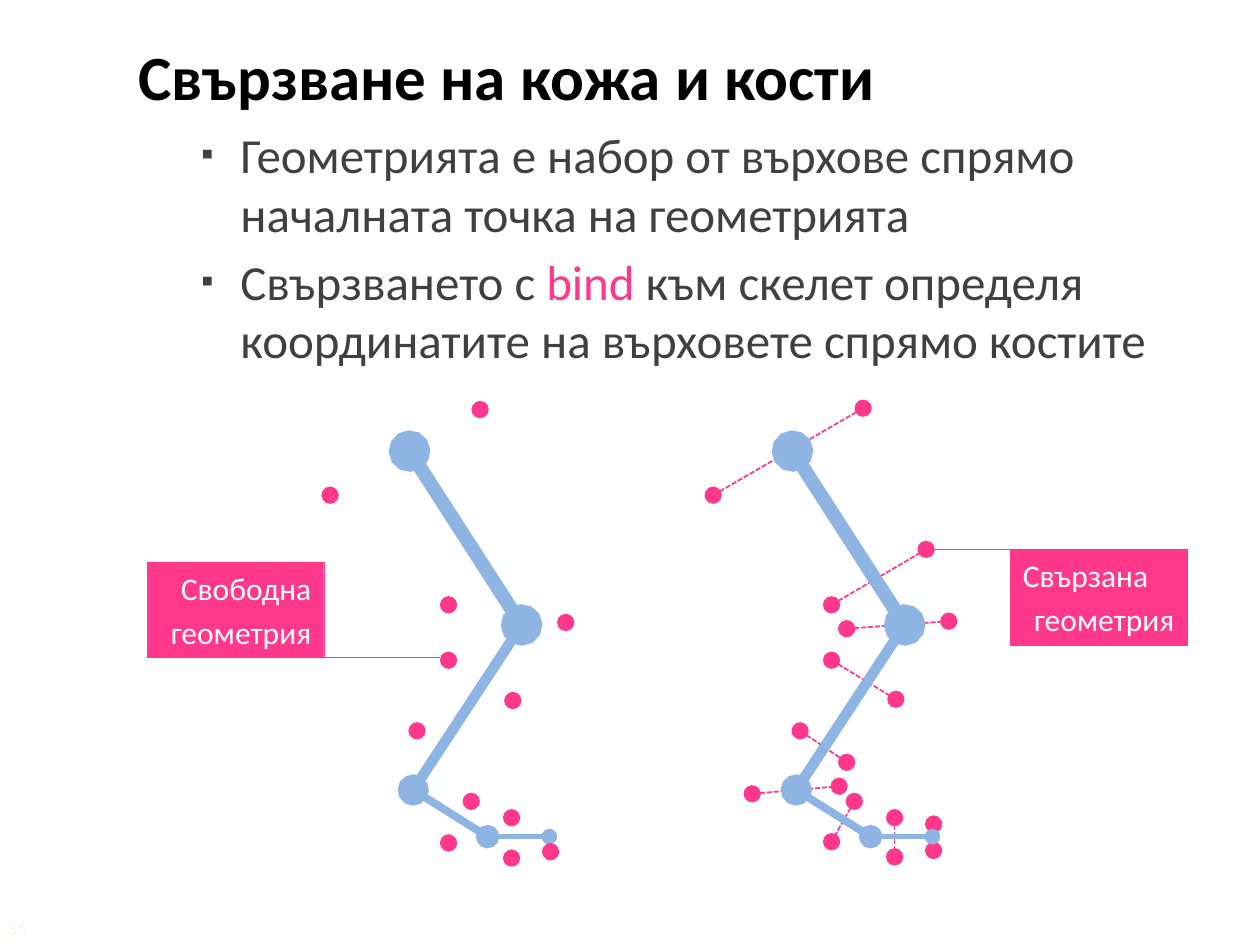
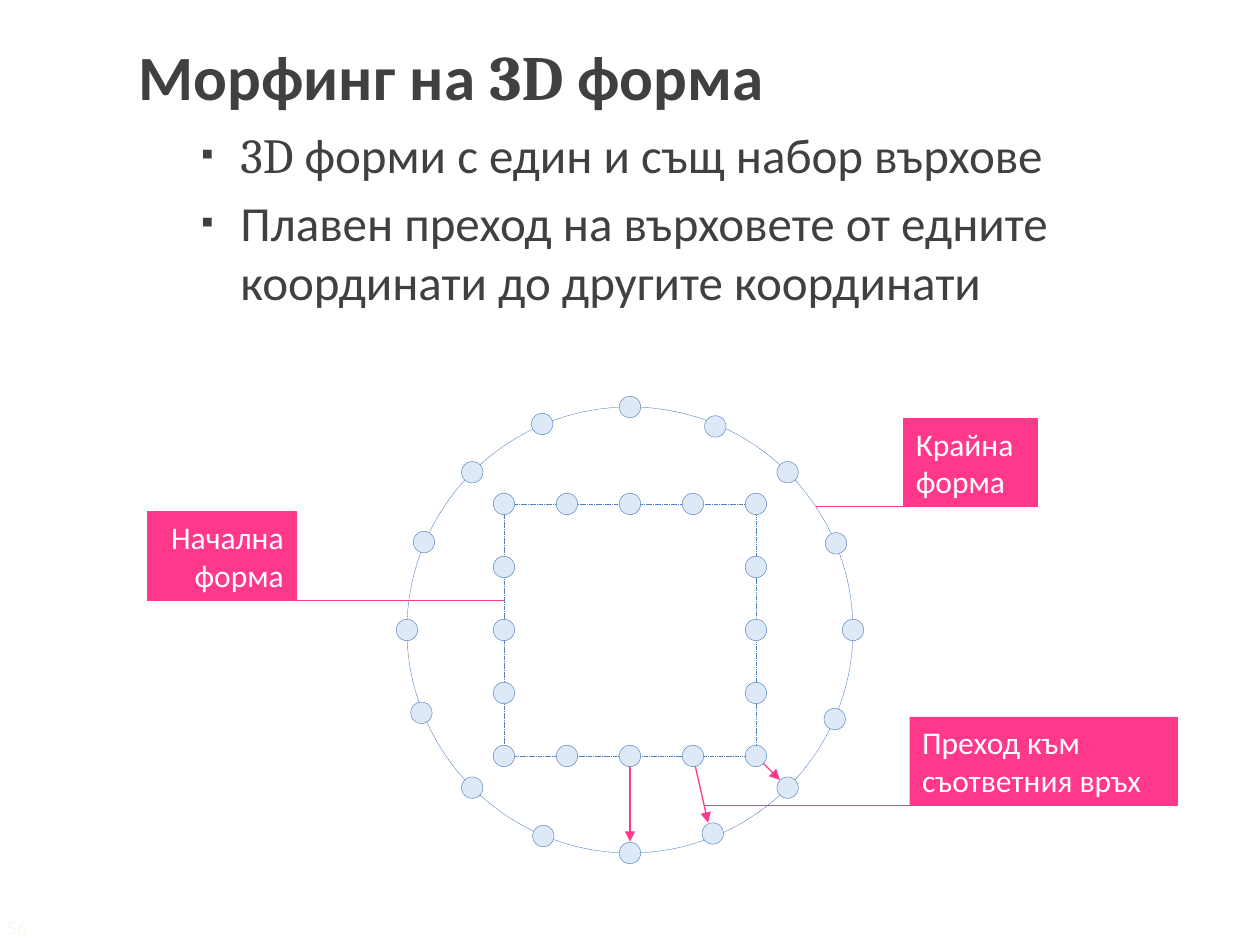
from math import cos, pi, sin

from lxml import etree
from pptx import Presentation
from pptx.dml.color import RGBColor
from pptx.enum.dml import MSO_LINE_DASH_STYLE as Dash
from pptx.enum.shapes import MSO_CONNECTOR as Connector, MSO_SHAPE as Shape
from pptx.enum.text import MSO_ANCHOR as Anchor, MSO_AUTO_SIZE as AutoSize, PP_ALIGN as Align
from pptx.oxml.ns import qn
from pptx.util import Inches, Pt

THEME = {
    "black": "000000", "text": "404040", "accent": "FF388C", "white": "FFFFFF",
    "bone": "8EB4E3", "outline": "4F81BD", "vertex": "DDE9F7", "number": "F9F9F0",
    "font": "Calibri", "digit_font": "Cambria",
    "title_size": 36, "body_size": 28, "label_size": 18, "number_size": 12,
    "hairline": 0.25, "arrow": 0.75, "bond": 1,
}


def add_line(slide, start, end, color, width, dash=None, **ends):
    """Draw a straight line; ends maps headEnd/tailEnd to (type, size)."""
    line = slide.shapes.add_connector(Connector.STRAIGHT, *map(Inches, (*start, *end)))
    line.line.color.rgb = RGBColor.from_string(THEME[color])
    line.line.width = Pt(width)
    if dash:
        line.line.dash_style = dash
    properties = line._element.spPr
    outline = properties.find(qn("a:ln"))
    for tag in ("headEnd", "tailEnd"):
        if tag in ends:
            kind, size = ends[tag]
            etree.SubElement(outline, qn(f"a:{tag}"), type=kind, w=size, len=size)
    etree.SubElement(properties, qn("a:effectLst"))


def add_shape(slide, kind, left, top, width, height, fill=None, line="accent", dash=None):
    shape = slide.shapes.add_shape(kind, *map(Inches, (left, top, width, height)))
    shape.shadow.inherit = False
    if fill:
        shape.fill.solid()
        shape.fill.fore_color.rgb = RGBColor.from_string(THEME[fill])
    else:
        shape.fill.background()
    shape.line.color.rgb = RGBColor.from_string(THEME[line])
    shape.line.width = Pt(THEME["hairline"])
    if dash:
        shape.line.dash_style = dash
    return shape


presentation = Presentation()
presentation.slide_width, presentation.slide_height = Inches(10), Inches(7.5)
title_only = presentation.slide_layouts[5]

# Wording: a run is its text plus the values that differ from its paragraph
accent = {"color": "accent"}
digits = {"font": "digit_font"}
contents = [
    {
        "title": [("Свързване на кожа и кости", {})],
        "title_color": "black",
        "bullets": [
            [("Геометрията е набор от върхове спрямо началната точка на геометрията", {})],
            [("Свързването с ", {}), ("bind ", accent),
             ("към скелет определя координатите на върховете спрямо костите", {})],
        ],
        "number": "36",
    },
    {
        "title": [("Морфинг на ", {}), ("3D ", digits), ("форма", {})],
        "title_color": "text",
        "bullets": [
            [("3D", digits), (" форми с един и същ набор върхове", {})],
            [("Плавен преход на върховете от едните координати до другите координати", {})],
        ],
        "number": "56",
    },
]

# Title, bullets and number of each slide; the texts are written at the end
slides, texts = [], []
for content in contents:
    slide = presentation.slides.add_slide(title_only)
    slides.append(slide)
    title = slide.shapes.title
    body, number = (slide.shapes.add_textbox(0, 0, 0, 0) for _ in range(2))
    for shape, box in (
        (title, (1, 0.25, 8.92, 0.71)),
        (body, (1, 0.94, 8.92, 2.1)),
        (number, (0, 7.21, 0.5, 0.28)),
    ):
        shape.left, shape.top, shape.width, shape.height = map(Inches, box)
        frame_format = {"word_wrap": True, "auto_size": AutoSize.NONE,
                        "vertical_anchor": Anchor.TOP}
        for name, value in frame_format.items():
            setattr(shape.text_frame, name, value)
    number.text_frame.margin_left = Inches(0.05)

    texts.append((title.text_frame.paragraphs[0], content["title"], Align.LEFT,
                  {"size": "title_size", "color": content["title_color"], "bold": True}))
    texts.append((number.text_frame.paragraphs[0], [(content["number"], {})], Align.LEFT,
                  {"size": "number_size", "color": "number"}))
    for index, runs in enumerate(content["bullets"]):
        frame = body.text_frame
        paragraph = frame.add_paragraph() if index else frame.paragraphs[0]
        texts.append((paragraph, runs, Align.LEFT, {"size": "body_size", "color": "text"}))
        properties = paragraph._p.get_or_add_pPr()
        properties.set("marL", str(Inches(0.81)))
        properties.set("indent", str(Inches(-0.31)))
        paragraph.space_before = Pt(5)
        bullet_color = etree.SubElement(properties, qn("a:buClr"))
        etree.SubElement(bullet_color, qn("a:srgbClr"), val=THEME["text"])
        etree.SubElement(properties, qn("a:buSzPct"), val="70000")
        etree.SubElement(properties, qn("a:buFont"), typeface=THEME["font"])
        etree.SubElement(properties, qn("a:buChar"), char="▪")

skin_slide, morph_slide = slides

# Skin vertices bound across the bones: start, end, which ends also show unbound
bonds = [
    ((5.66, 3.93), (6.85, 3.24), "both"),
    ((6.6, 4.8), (7.35, 4.36), "start"),
    ((6.6, 5.24), (7.11, 5.55), "both"),
    ((6.35, 5.8), (6.72, 6.05), "start"),
    ((6.78, 6.36), (6.6, 6.68), "both"),
    ((7.1, 6.49), (7.1, 6.8), "both"),
    ((7.41, 6.54), (7.41, 6.75), "end"),
    ((6.72, 4.99), (7.53, 4.93), "end"),
    ((5.97, 6.3), (6.66, 6.24), "neither"),
]
large_oval, bone_oval = ("oval", "lg"), ("oval", "med")
for start, end, _ in bonds:
    add_line(skin_slide, start, end, "accent", THEME["bond"], Dash.SQUARE_DOT,
             headEnd=large_oval, tailEnd=large_oval)

# Two equal skeletons
skeleton_gap = 3.04
hip, knee, ankle, ball, toe = (3.25, 3.58), (4.14, 4.96), (3.28, 6.27), (3.87, 6.64), (4.36, 6.64)
bones = [(hip, knee, 8), (ankle, knee, 6), (ankle, ball, 4.5), (toe, ball, 3)]
for shift in (0, skeleton_gap):
    for (x1, y1), (x2, y2), width in bones:
        add_line(skin_slide, (x1 + shift, y1), (x2 + shift, y2), "bone", width,
                 headEnd=bone_oval, tailEnd=bone_oval)

# Free vertices beside the left skeleton: very short lines with one round end
for start, end, shown in bonds:
    for (x, y), name, tag in ((start, "start", "headEnd"), (end, "end", "tailEnd")):
        if shown in (name, "both"):
            free_x = x - skeleton_gap
            add_line(skin_slide, (free_x, y), (free_x, y + 0.01), "accent", THEME["bond"],
                     Dash.SQUARE_DOT, **{tag: large_oval})

# Square and circle with the same number of vertices
center, half_side, radius, vertex_size = 5, 1, 1.77, 0.17
for kind, reach in ((Shape.RECTANGLE, half_side), (Shape.OVAL, radius)):
    add_shape(morph_slide, kind, center - reach, center - reach, 2 * reach, 2 * reach,
              line="outline", dash=Dash.SQUARE_DOT)

# Arrows from square vertices to circle vertices
for start, end in (((5.5, 6), (5.62, 6.53)), ((5, 6), (5, 6.68)), ((6, 6), (6.19, 6.19))):
    add_line(morph_slide, start, end, "accent", THEME["arrow"], tailEnd=("triangle", "med"))

# Vertices: even steps on the square, even turns on the circle with small nudges
steps = [-1, -0.5, 0, 0.5, 1]
nudges = {1: (-0.01, 0.03), 3: (-0.02, -0.02), 5: (-0.01, 0), 7: (-0.02, -0.02),
          9: (0, -0.02), 11: (-0.02, 0), 13: (0, 0.02), 15: (0, -0.01)}
vertices = [(x * half_side, y * half_side) for x in steps for y in steps if 1 in (abs(x), abs(y))]
for turn in range(16):
    nudge_x, nudge_y = nudges.get(turn, (0, 0))
    angle = turn * pi / 8
    vertices.append((radius * cos(angle) + nudge_x, radius * sin(angle) + nudge_y))
for x, y in vertices:
    add_shape(morph_slide, Shape.OVAL, center + x - vertex_size / 2, center + y - vertex_size / 2,
              vertex_size, vertex_size, "vertex", "outline")

# Labels: box, paragraphs with alignment, leader from start x to end x at y
labels = [
    (skin_slide, (1.17, 4.46, 1.4, 0.76),
     [("Свободна", Align.RIGHT), ("геометрия", Align.RIGHT)], (1.17, 3.49, 5.22)),
    (skin_slide, (8.02, 4.36, 1.4, 0.76),
     [("Свързана", Align.LEFT), ("геометрия", Align.RIGHT)], (9.42, 7.4, 4.36)),
    (morph_slide, (7.22, 5.69, 2.12, 0.7),
     [("Преход към съответния връх", Align.LEFT)], (9.33, 5.59, 6.39)),
    (morph_slide, (1.17, 4.06, 1.18, 0.7),
     [("Начална форма", Align.RIGHT)], (1.17, 4, 4.76)),
    (morph_slide, (7.17, 3.32, 1.06, 0.7),
     [("Крайна форма", Align.LEFT)], (8.23, 6.48, 4.02)),
]
for slide, box, lines, (leader_start, leader_end, leader_y) in labels:
    frame = add_shape(slide, Shape.RECTANGLE, *box, "accent").text_frame
    add_line(slide, (leader_start, leader_y), (leader_end, leader_y), "accent",
             THEME["hairline"])
    frame.word_wrap = True
    frame.vertical_anchor = Anchor.MIDDLE
    for index, (text, alignment) in enumerate(lines):
        paragraph = frame.add_paragraph() if index else frame.paragraphs[0]
        paragraph.space_before = Pt(THEME["label_size"] * 0.2)
        texts.append((paragraph, [(text, {})], alignment,
                      {"size": "label_size", "color": "white"}))

# Write every text
for paragraph, runs, alignment, base in texts:
    paragraph.alignment = alignment
    for text, changes in runs:
        look = {"font": "font", "bold": False, **base, **changes}
        run = paragraph.add_run()
        run.text = text
        font_format = {"name": THEME[look["font"]], "size": Pt(THEME[look["size"]]),
                       "bold": look["bold"]}
        for name, value in font_format.items():
            setattr(run.font, name, value)
        run.font.color.rgb = RGBColor.from_string(THEME[look["color"]])

presentation.save("out.pptx")
